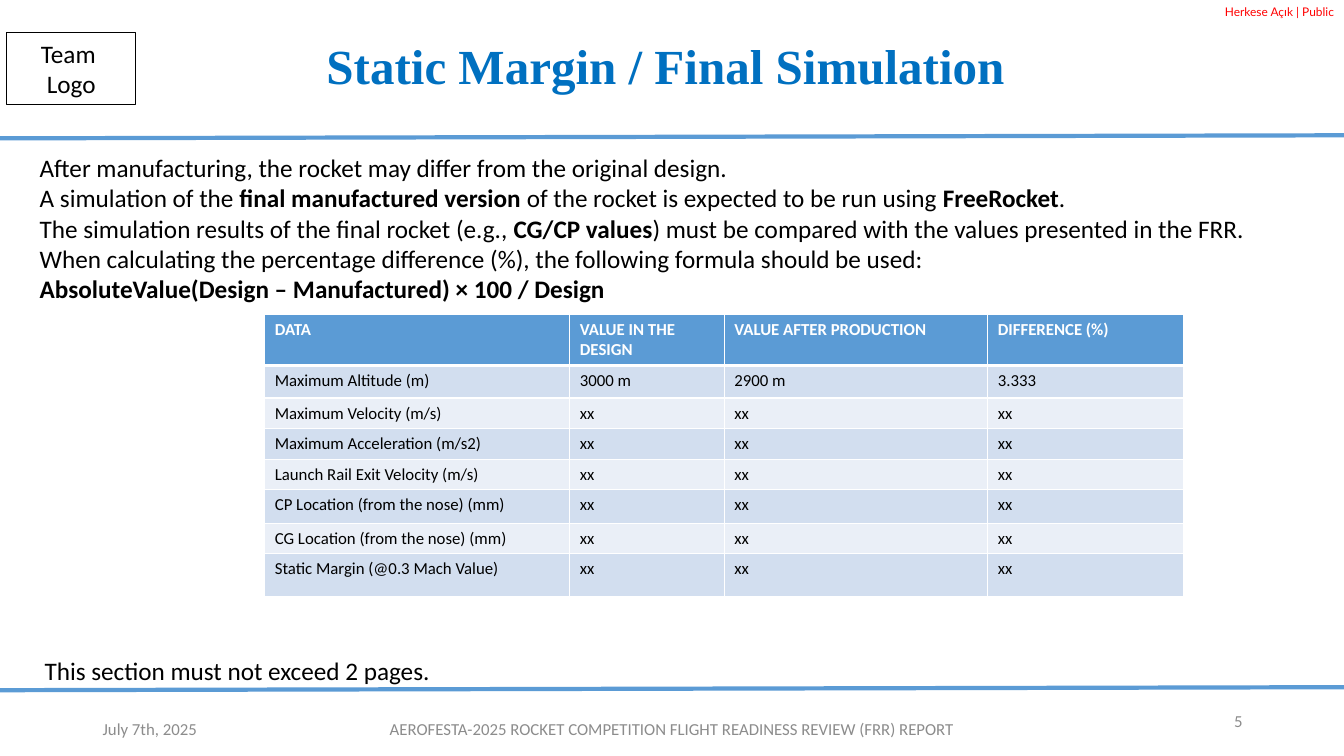
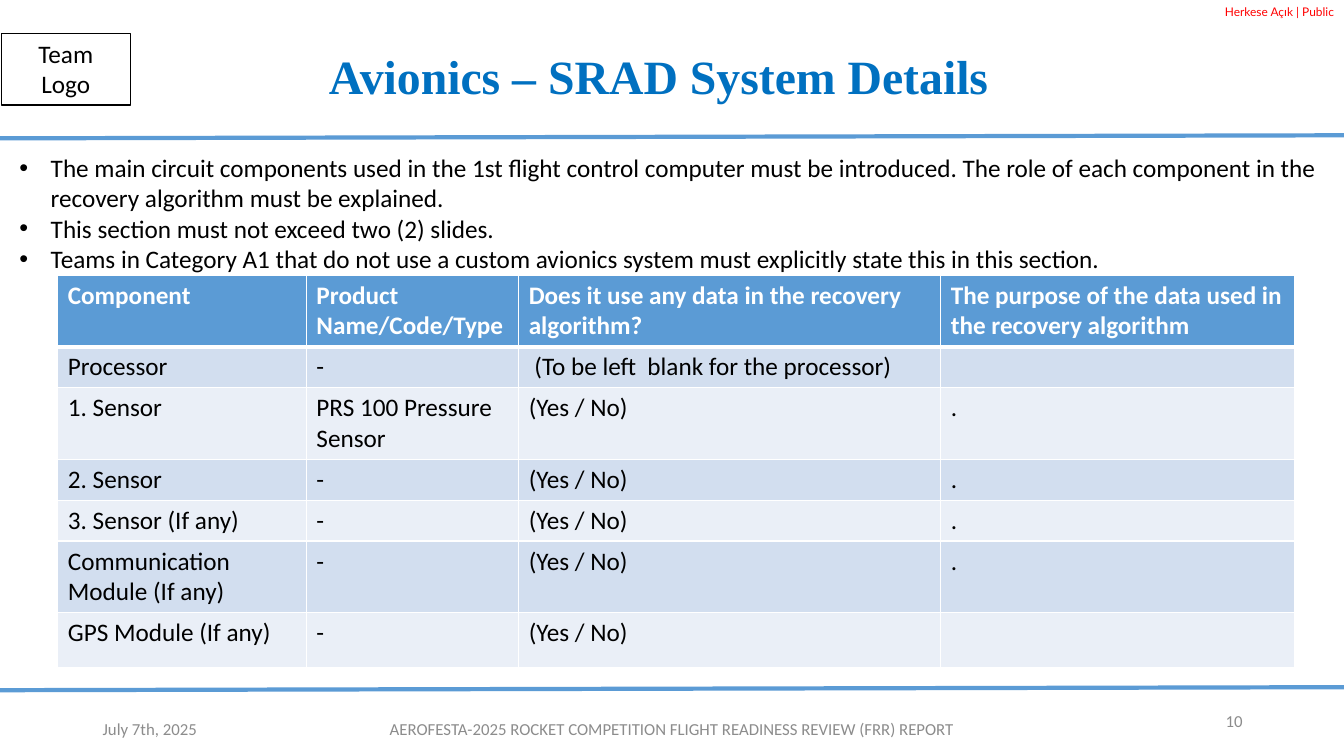
from pptx import Presentation
from pptx.dml.color import RGBColor
from pptx.enum.shapes import MSO_CONNECTOR, MSO_SHAPE
from pptx.enum.text import MSO_ANCHOR, MSO_AUTO_SIZE, PP_ALIGN
from pptx.oxml import parse_xml
from pptx.oxml.ns import nsdecls
from pptx.oxml.xmlchemy import OxmlElement
from pptx.util import Inches, Pt

BLACK = RGBColor(0x00, 0x00, 0x00)
WHITE = RGBColor(0xFF, 0xFF, 0xFF)
RED = RGBColor(0xFF, 0x00, 0x00)
GRAY = RGBColor(0x8C, 0x8C, 0x8C)
NAVY = RGBColor(0x00, 0x70, 0xC0)
BLUE = RGBColor(0x5B, 0x9B, 0xD5)
BANDS = [RGBColor(0xEA, 0xEF, 0xF7), RGBColor(0xD2, 0xDE, 0xEF)]
LEFT, MID, RIGHT = PP_ALIGN.LEFT, PP_ALIGN.CENTER, PP_ALIGN.RIGHT
TOP, CENTER, BOTTOM = MSO_ANCHOR.TOP, MSO_ANCHOR.MIDDLE, MSO_ANCHOR.BOTTOM

deck = Presentation()
deck.slide_width, deck.slide_height = Inches(13.33), Inches(7.5)
COL, ROW = deck.slide_width / 100, deck.slide_height / 100


def place(left, top, width, height):
    return int(left * COL), int(top * ROW), int(width * COL), int(height * ROW)


def write(frame, text, size=18, color=BLACK, font="Calibri", bold=False,
          align=LEFT, anchor=TOP, space=1.0, bullet=False, wrap=True):
    frame.auto_size = MSO_AUTO_SIZE.NONE
    frame.word_wrap = wrap
    frame.vertical_anchor = anchor
    for row, line in enumerate(text.split("\n")):
        para = frame.add_paragraph() if row else frame.paragraphs[0]
        para.alignment = align
        para.line_spacing = space
        para.space_before = para.space_after = Pt(0)
        props = para._p.get_or_add_pPr()
        indent = Inches(0.31) if bullet else 0
        props.set("marL", str(indent))
        props.set("indent", str(-indent))
        mark = OxmlElement("a:buChar" if bullet else "a:buNone")
        if bullet:
            mark.set("char", "•")
        props.append(mark)
        for part, words in enumerate(line.split("**")):
            if words:
                run = para.add_run()
                run.text = words
                run.font.size = Pt(size)
                run.font.name = font
                run.font.bold = bold or part % 2 == 1
                run.font.color.rgb = color


PAGES = [
    dict(
        title="Static Margin / Final Simulation ", spot=(12.5, 3.6, 75, 10.9),
        style=dict(size=35, anchor=CENTER), number="5",
        logo="Team \nLogo", badge=(0.5, 4.3, 9.6, 9.5), hold=CENTER,
        body="After manufacturing, the rocket may differ from the original design.\n"
             "A simulation of the **final manufactured version** of the rocket is "
             "expected to be run using **FreeRocket**.\n"
             "The simulation results of the final rocket (e.g., **CG/CP values**) "
             "must be compared with the values presented in the FRR.\n"
             "When calculating the percentage difference (%), the following "
             "formula should be used:\n"
             "**AbsoluteValue(Design – Manufactured) × 100 / Design**",
        area=(2.2, 19.5, 95.7, 21.6), bullet=False,
        note="This section must not exceed 2 pages.",
        origin=(19.7, 41.6), size=12,
        cols=[22.7, 11.5, 19.6, 14.6],
        rows=[5.7, 4.3, 3.7, 3.7, 3.7, 4.4, 3.7, 5.7],
        cells=[
            ["DATA", "VALUE IN THE DESIGN", "VALUE AFTER PRODUCTION", "DIFFERENCE (%)"],
            ["Maximum Altitude (m)", "3000 m", "2900 m", "3.333"],
        ] + [[name] + ["xx"] * 3 for name in (
            "Maximum Velocity (m/s)",
            "Maximum Acceleration (m/s2)",
            "Launch Rail Exit Velocity (m/s)",
            "CP Location (from the nose) (mm)",
            "CG Location (from the nose) (mm)",
            "Static Margin (@0.3 Mach Value)",
        )],
    ),
    dict(
        title="Avionics – SRAD System Details", spot=(11.5, 3.6, 75, 10.9),
        style=dict(size=34.1, anchor=BOTTOM), number="10",
        logo="Team Logo", badge=(0.1, 4.4, 9.6, 9.5), hold=TOP,
        body="The main circuit components used in the 1st flight control computer "
             "must be introduced. The role of each component in the recovery "
             "algorithm must be explained.\n"
             "This section must not exceed two (2) slides.\n"
             "Teams in Category A1 that do not use a custom avionics system must "
             "explicitly state this in this section.",
        area=(0.7, 19.5, 98.4, 17.5), bullet=True, note="",
        origin=(4.3, 36.4), size=18,
        cols=[18.5, 15.8, 31.4, 26.3],
        rows=[7.3, 4.4, 7.3, 4.1, 4.4, 7.3, 7.3],
        cells=[
            ["Component", "Product Name/Code/Type",
             "Does it use any data in the recovery algorithm?",
             "The purpose of the data used in the recovery algorithm"],
            ["Processor", "-", " (To be left  blank for the processor)", ""],
            ["1. Sensor", "PRS 100 Pressure Sensor", "(Yes / No)", "."],
            ["2. Sensor", "-", "(Yes / No)", "."],
            ["3. Sensor (If any)", "-", "(Yes / No)", "."],
            ["Communication Module (If any)", "-", "(Yes / No)", "."],
            ["GPS Module (If any)", "-", "(Yes / No)", ""],
        ],
    ),
]

FOOT = dict(size=12, color=GRAY, anchor=CENTER)

for page in PAGES:
    slide = deck.slides.add_slide(deck.slide_layouts[1])
    shapes = slide.shapes
    title, body = shapes.title, slide.placeholders[1]
    title.left, title.top, title.width, title.height = place(*page["spot"])
    write(title.text_frame, page["title"], color=NAVY, font="Times New Roman",
          bold=True, align=MID, space=0.9, **page["style"])
    body.left, body.top, body.width, body.height = place(*page["area"])
    write(body.text_frame, page["body"], bullet=page["bullet"])

    for start, end in ((18.3, 17.9), (91.3, 90.9)):
        rule = shapes.add_connector(MSO_CONNECTOR.STRAIGHT, 0, int(start * ROW),
                                    deck.slide_width, int(end * ROW))
        rule.line.color.rgb = BLUE
        rule.line.width = Pt(3)
        rule._element.spPr.append(OxmlElement("a:effectLst"))

    badge = shapes.add_shape(MSO_SHAPE.RECTANGLE, *place(*page["badge"]))
    badge.shadow.inherit = False
    badge.fill.background()
    badge.line.color.rgb = BLACK
    badge.line.width = Pt(0.75)
    write(badge.text_frame, page["logo"], align=MID, anchor=page["hold"])

    labels = [
        ("Herkese Açık | Public", (0, 0, 100, 3.2),
         dict(size=8.5, color=RED, font="Lato", align=RIGHT)),
        (page["number"], (70.7, 92.7, 22.5, 5.3), dict(FOOT, align=RIGHT)),
        ("July 7th, 2025", (6.9, 93.7, 22.5, 5.3), FOOT),
        ("AEROFESTA-2025 ROCKET COMPETITION FLIGHT READINESS REVIEW (FRR) REPORT",
         (20.8, 93.7, 58.4, 5.3), dict(FOOT, align=MID)),
    ]
    if page["note"]:
        labels.append((page["note"], (2.4, 86, 30.5, 5.3),
                       dict(align=MID, wrap=False)))
    for text, spot, style in labels:
        write(shapes.add_textbox(*place(*spot)).text_frame, text, **style)

    cols, rows = page["cols"], page["rows"]
    spot = place(*page["origin"], sum(cols), sum(rows))
    table = shapes.add_table(len(rows), len(cols), *spot).table
    for col, width in zip(table.columns, cols):
        col.width = int(width * COL)
    for r, (height, texts) in enumerate(zip(rows, page["cells"])):
        table.rows[r].height = int(height * ROW)
        for c, text in enumerate(texts):
            cell = table.cell(r, c)
            cell.fill.solid()
            cell.fill.fore_color.rgb = BANDS[r % 2] if r else BLUE
            write(cell.text_frame, text, size=page["size"], bold=r == 0,
                  color=BLACK if r else WHITE)
            props = cell._tc.get_or_add_tcPr()
            for spot, side in enumerate("LRTB"):
                thick = (r, side) in ((0, "B"), (1, "T"))
                props.insert(spot, parse_xml(
                    f'<a:ln{side} {nsdecls("a")} w="{Pt(3 if thick else 1)}">'
                    f'<a:solidFill><a:srgbClr val="{WHITE}"/></a:solidFill>'
                    f'</a:ln{side}>'))

deck.save("out.pptx")
